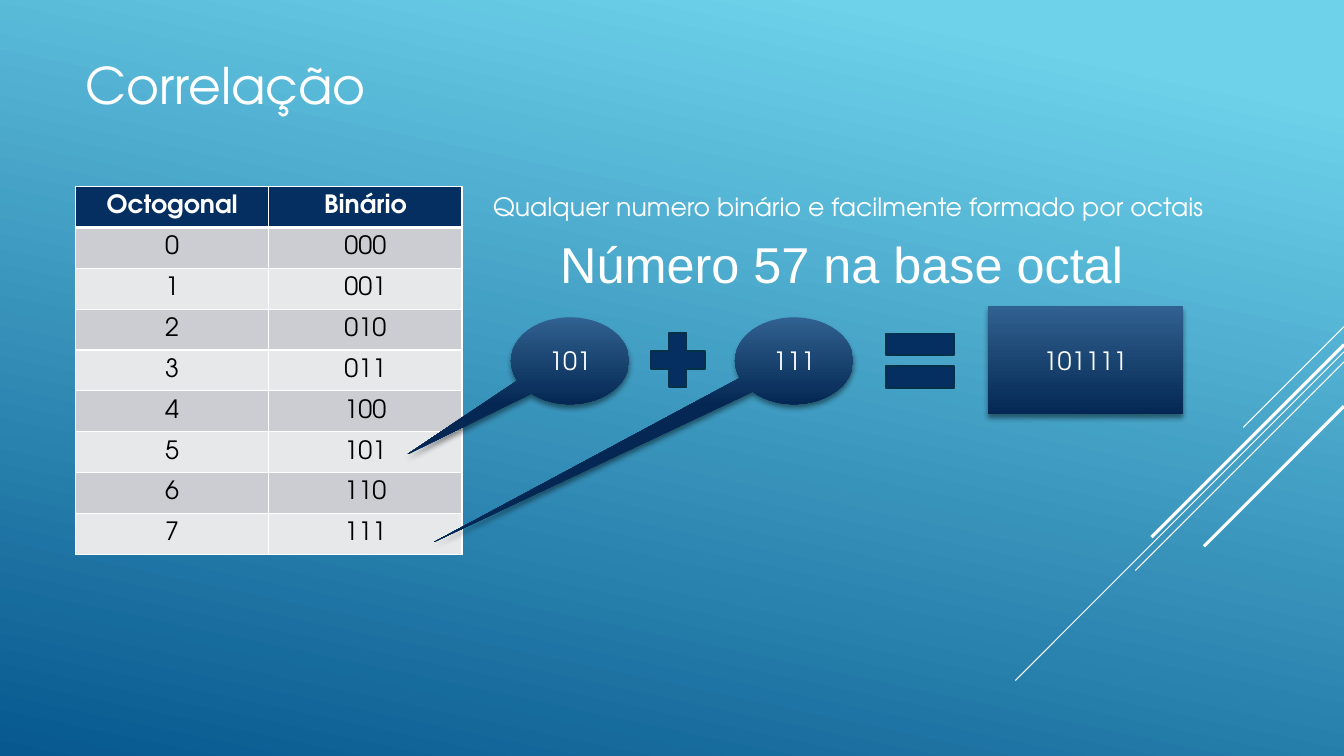
from dataclasses import dataclass

from lxml.etree import SubElement
from pptx import Presentation
from pptx.dml.color import RGBColor
from pptx.enum.shapes import MSO_CONNECTOR, MSO_SHAPE
from pptx.enum.text import MSO_ANCHOR, MSO_AUTO_SIZE, PP_ALIGN
from pptx.oxml import parse_xml
from pptx.oxml.ns import nsdecls, qn
from pptx.util import Pt


@dataclass(frozen=True)
class Theme:
    font: str = "TeX Gyre Adventor"
    plain_font: str = "Arial"
    title_size: int = 36
    body_size: int = 18
    white: str = "FFFFFF"
    black: str = "000000"
    navy: str = "052F61"
    outline: str = "043148"
    dark_band: str = "CCCDD2"
    light_band: str = "E7E8EA"
    sky: tuple = ((0.1, "6ED2EB"), (1, "06588E"))
    glossy: tuple = ((0, "316190"), (1, "042853"))


THEME = Theme()
WIDTH, HEIGHT = 960, 540


def color(value):
    return RGBColor.from_string(value)


def fill_gradient(fill, stops, clockwise_angle):
    fill.gradient()
    fill.gradient_angle = 360 - clockwise_angle
    for stop, (position, value) in zip(fill.gradient_stops, stops):
        stop.position = position
        stop.color.rgb = color(value)


def write(text_frame, text, size=THEME.body_size, font=THEME.font,
          align=PP_ALIGN.CENTER, value=THEME.white, bold=False):
    text_frame.text = text
    paragraph = text_frame.paragraphs[0]
    paragraph.alignment = align
    paragraph.font.size = Pt(size)
    paragraph.font.name = font
    paragraph.font.bold = bold
    paragraph.font.color.rgb = color(value)


# Background and diagonal rays
def add_backdrop(slide, right):
    fill_gradient(slide.background.fill, THEME.sky, 102)
    rays = [(233.3, 72, 0.75), (251.3, 234.7, 0.75), (258.5, 149, 0.75),
            (246.2, 137.5, 2.25), (290.2, 100, 2.25)]
    for top, run, weight in rays:
        ray = slide.shapes.add_connector(
            MSO_CONNECTOR.STRAIGHT, Pt(right), Pt(top), Pt(right - run), Pt(top + run))
        ray.line.color.rgb = color(THEME.white)
        ray.line.width = Pt(weight)
        SubElement(ray._element.spPr, qn("a:effectLst"))


# Title
def add_title(slide, left, top, width, height):
    title = slide.shapes.title
    title.left, title.top, title.width, title.height = map(Pt, (left, top, width, height))
    title.text_frame.auto_size = MSO_AUTO_SIZE.NONE
    title.text_frame.vertical_anchor = MSO_ANCHOR.BOTTOM
    write(title.text_frame, "Correlação", THEME.title_size, align=PP_ALIGN.LEFT)


# Conversion table
def set_borders(cell, top, bottom):
    properties = cell._tc.get_or_add_tcPr()
    weights = {"lnL": 1, "lnR": 1, "lnT": top, "lnB": bottom}
    for index, (side, weight) in enumerate(weights.items()):
        properties.insert(index, parse_xml(
            f'<a:{side} {nsdecls("a")} w="{Pt(weight)}"><a:solidFill>'
            f'<a:srgbClr val="{THEME.white}"/></a:solidFill></a:{side}>'))


def add_conversion_table(slide, left, top, width, height):
    rows = [("Octogonal", "Binário")] + [(str(n), f"{n:03b}") for n in range(8)]
    table = slide.shapes.add_table(
        len(rows), 2, Pt(left), Pt(top), Pt(width), Pt(height)).table
    table.horz_banding = False
    for column in table.columns:
        column.width = Pt(width / 2)
    for row_index, values in enumerate(rows):
        table.rows[row_index].height = Pt(height / len(rows))
        header = row_index == 0
        band = THEME.dark_band if row_index % 2 else THEME.light_band
        for column_index, text in enumerate(values):
            cell = table.cell(row_index, column_index)
            cell.vertical_anchor = MSO_ANCHOR.MIDDLE
            cell.fill.solid()
            cell.fill.fore_color.rgb = color(THEME.navy if header else band)
            set_borders(cell, 3 if row_index == 1 else 1, 3 if header else 1)
            write(cell.text_frame, text, bold=header,
                  value=THEME.white if header else THEME.black)


# Explanatory text
def add_label(slide, left, top, width, height, text, **style):
    box = slide.shapes.add_textbox(Pt(left), Pt(top), Pt(width), Pt(height))
    box.text_frame.word_wrap = False
    box.text_frame.auto_size = MSO_AUTO_SIZE.SHAPE_TO_FIT_TEXT
    write(box.text_frame, text, **style)


def add_explanation(slide, left, top):
    add_label(slide, left, top, 528.5, 28.8,
              "Qualquer numero binário e facilmente formado por octais",
              align=PP_ALIGN.LEFT)
    add_label(slide, left + 46, top + 29.5, 420.5, 51, "Número 57 na base octal",
              size=THEME.title_size, font=THEME.plain_font)


# Binary sum, centred on a horizontal axis
def add_centered_shape(slide, kind, left, middle, width, height):
    shape = slide.shapes.add_shape(
        kind, Pt(left), Pt(middle - height / 2), Pt(width), Pt(height))
    shape.shadow.inherit = False
    return shape


def add_value(slide, kind, left, middle, width, height, text, pointer=()):
    shape = add_centered_shape(slide, kind, left, middle, width, height)
    for index, offset in enumerate(pointer):
        shape.adjustments[index] = offset
    fill_gradient(shape.fill, THEME.glossy, 90)
    shape.line.fill.background()
    shape._element.spPr.find(qn("a:effectLst")).append(parse_xml(
        f'<a:outerShdw {nsdecls("a")} blurRad="{Pt(4)}" dist="{Pt(3)}" dir="5400000" '
        f'algn="ctr" rotWithShape="0"><a:srgbClr val="{THEME.black}">'
        '<a:alpha val="46000"/></a:srgbClr></a:outerShdw>'))
    shape.text_frame.vertical_anchor = MSO_ANCHOR.MIDDLE
    write(shape.text_frame, text)


def add_operator(slide, kind, left, middle, size):
    shape = add_centered_shape(slide, kind, left, middle, size, size)
    shape.fill.solid()
    shape.fill.fore_color.rgb = color(THEME.navy)
    shape.line.color.rgb = color(THEME.outline)
    shape.line.width = Pt(1.25)


def add_binary_sum(slide, left, middle):
    callout = MSO_SHAPE.OVAL_CALLOUT
    add_value(slide, callout, left + 160, middle, 84.4, 62, "111", (-3.05, 2.09))
    add_value(slide, callout, left, middle, 84.4, 62, "101", (-1.38, 1.08))
    add_operator(slide, MSO_SHAPE.MATH_PLUS, left + 93, middle - 0.5, 52.5)
    add_operator(slide, MSO_SHAPE.MATH_EQUAL, left + 259.3, middle, 66)
    add_value(slide, MSO_SHAPE.RECTANGLE, left + 340.7, middle - 0.3, 139.5, 77, "101111")


def main():
    presentation = Presentation()
    presentation.slide_width, presentation.slide_height = Pt(WIDTH), Pt(HEIGHT)
    slide = presentation.slides.add_slide(presentation.slide_layouts[5])
    add_backdrop(slide, WIDTH)
    add_title(slide, 54, 23, 672, 62.6)
    add_conversion_table(slide, 54, 133.2, 276, 262.8)
    add_explanation(slide, 345, 133.2)
    add_binary_sum(slide, 365, 257.7)
    presentation.save("out.pptx")


if __name__ == "__main__":
    main()
